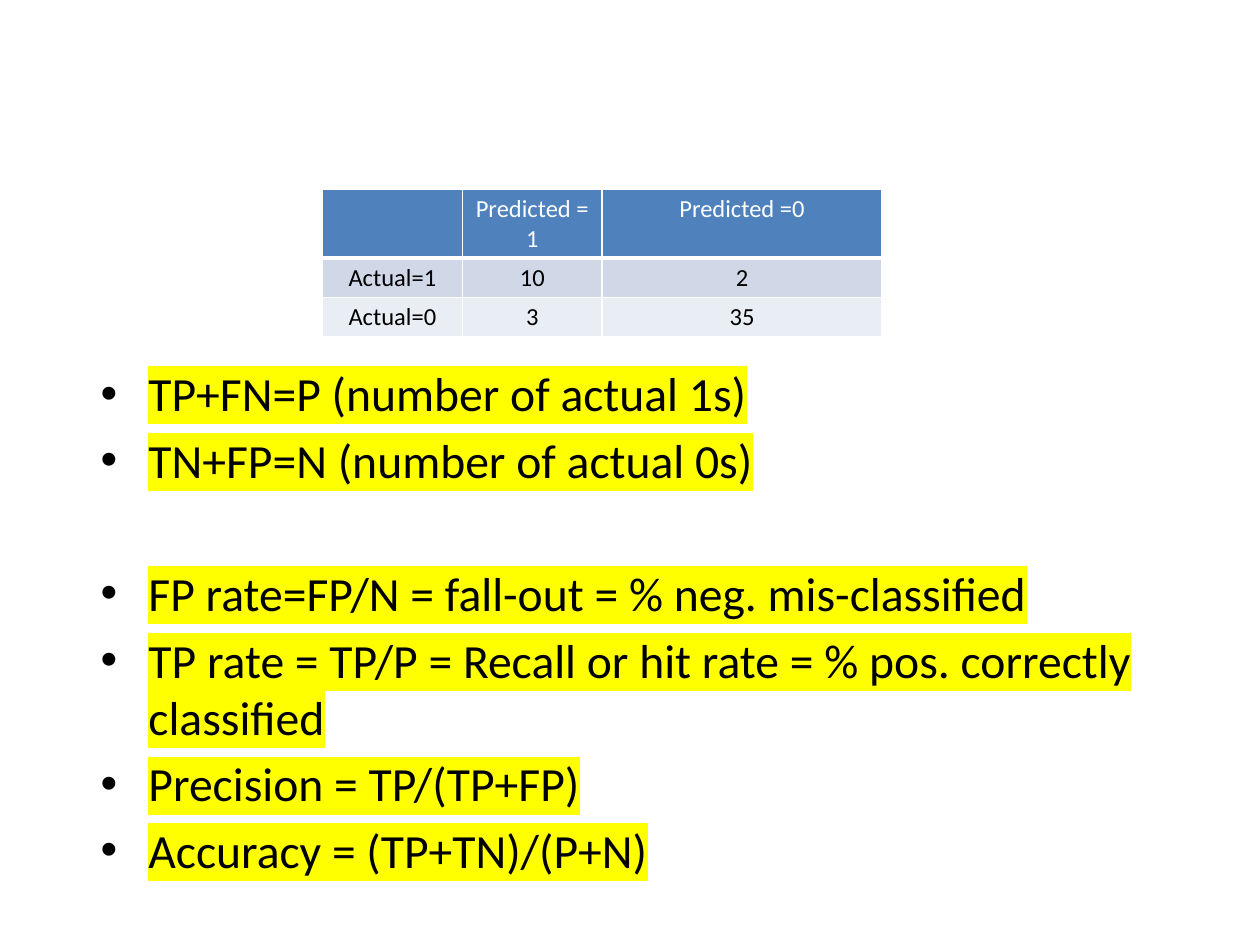
from lxml import etree
from pptx import Presentation
from pptx.dml.color import RGBColor
from pptx.enum.text import PP_ALIGN
from pptx.oxml.ns import qn
from pptx.util import Inches, Pt

CENTER = PP_ALIGN.CENTER
WHITE = RGBColor(0xFF, 0xFF, 0xFF)
BLACK = RGBColor(0, 0, 0)
BLUE = RGBColor(0x4F, 0x81, 0xBD)
BAND = RGBColor(0xD0, 0xD8, 0xE8)
PALE = RGBColor(0xE9, 0xED, 0xF4)
YELLOW = RGBColor(0xFF, 0xFF, 0x00)
FONT = "Calibri"


def add_color(parent, tag, color):
    node = etree.SubElement(parent, qn(tag))
    etree.SubElement(node, qn("a:srgbClr"), val=str(color))
    return node


def add_run(para, text, size, color):
    run = para.add_run()
    run.text = text
    run.font.size = Pt(size)
    run.font.color.rgb = color
    run.font.name = FONT
    return run


prs = Presentation()
prs.slide_width, prs.slide_height = Inches(10), Inches(7.5)
slide = prs.slides.add_slide(prs.slide_layouts[6])

# Bulleted formulas: text and space before in points
GAP = 5.4
lines = [
    ("TP+FN=P (number of actual 1s)", 0),
    ("TN+FP=N (number of actual 0s)", GAP),
    ("FP rate=FP/N = fall-out = % neg. mis-classified", 43.5),
    ("TP rate = TP/P = Recall or hit rate = % pos. correctly classified", GAP),
    ("Precision = TP/(TP+FP)", GAP),
    ("Accuracy = (TP+TN)/(P+N)", GAP),
]
box = slide.shapes.add_textbox(Inches(0.7), Inches(2.84), Inches(8.62), Inches(3.57))
frame = box.text_frame
frame.word_wrap = True
for i, (text, space) in enumerate(lines):
    para = frame.paragraphs[0] if i == 0 else frame.add_paragraph()
    para.space_before = Pt(space)
    props = para._p.get_or_add_pPr()
    props.set("marL", str(Inches(0.38)))
    props.set("indent", str(-Inches(0.38)))
    etree.SubElement(props, qn("a:buFont"), typeface="Arial")
    etree.SubElement(props, qn("a:buChar"), char="•")
    run = add_run(para, text, 27.2, BLACK)
    look = run.font._element
    mark = add_color(look, "a:highlight", YELLOW)
    look.find(qn("a:latin")).addprevious(mark)

# Confusion matrix
rows = [
    ("", "Predicted = 1", "Predicted =0"),
    ("Actual=1", "10", "2"),
    ("Actual=0", "3", "35"),
]
fills = [BLUE, BAND, PALE]
table = slide.shapes.add_table(
    3, 3, Inches(2.56), Inches(1.5), Inches(4.44), Inches(1.16)).table
for col, width in zip(table.columns, (1.11, 1.11, 2.22)):
    col.width = Inches(width)
for row, height in zip(table.rows, (0.54, 0.31, 0.31)):
    row.height = Inches(height)

for r, texts in enumerate(rows):
    for c, text in enumerate(texts):
        cell = table.cell(r, c)
        cell.margin_left = cell.margin_right = Inches(0.07)
        cell.margin_top = cell.margin_bottom = Inches(0.04)
        props = cell._tc.get_or_add_tcPr()
        for side in "LRTB":
            width = 3 if r == 0 and side == "B" else 1
            edge = add_color(props, "a:ln" + side, WHITE)
            edge.set("w", str(Pt(width)))
            fill = etree.SubElement(edge, qn("a:solidFill"))
            fill.append(edge[0])
        cell.fill.solid()
        cell.fill.fore_color.rgb = fills[r]
        if text:
            para = cell.text_frame.paragraphs[0]
            para.alignment = CENTER
            run = add_run(para, text, 14, BLACK if r else WHITE)
            run.font.bold = False

prs.save("out.pptx")
